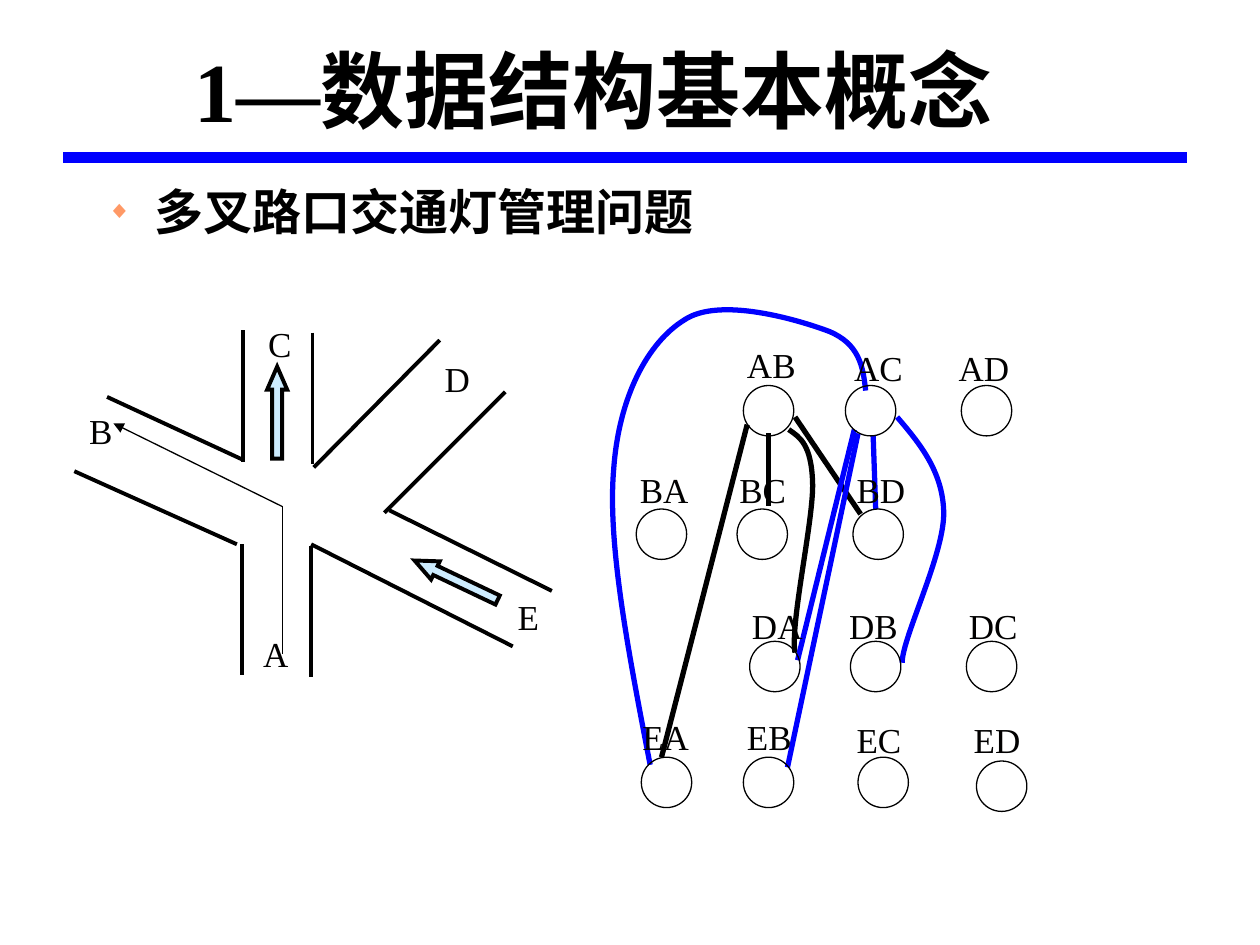
"""Build a slide on traffic lights at a multi-way junction and its conflict graph."""
from pptx import Presentation
from pptx.dml.color import RGBColor
from pptx.enum.shapes import MSO_CONNECTOR, MSO_SHAPE
from pptx.enum.text import MSO_ANCHOR, MSO_AUTO_SIZE, PP_ALIGN
from pptx.oxml.ns import qn
from pptx.util import Inches, Pt
from lxml.etree import SubElement

BLACK = RGBColor(0x00, 0x00, 0x00)
LABEL_BLACK = RGBColor(0x01, 0x00, 0x00)
BLUE = RGBColor(0x00, 0x00, 0xFF)
PALE_BLUE = RGBColor(0xCC, 0xEC, 0xFF)
SERIF = "Times New Roman"
NARROW = "Arial Narrow"

TITLE_RUNS = [("1—", 48, SERIF), ("数据结构基本概念", 48, NARROW), (" ", 54, NARROW)]
TOPIC = "多叉路口交通灯管理问题"

AB_EDGES = [
    (5.93, 3.37, 5.25, 6.01),
    (6.1, 3.44, 6.1, 4.02),
    (6.31, 3.31, 6.83, 4.08),
]
AB_CURVES = [
    [(6.26, 3.41), (6.35, 3.47), (6.44, 3.53), (6.45, 3.83),
     (6.46, 4.12), (6.27, 4.95), (6.31, 5.18)],
]
AC_EDGES = [
    (6.93, 3.46, 6.95, 4.04),
    (6.78, 3.41, 6.33, 5.24),
    (6.81, 3.44, 6.25, 6.09),
]
AC_CURVES = [
    [(6.87, 3.1), (6.85, 2.91), (6.82, 2.73), (6.58, 2.63),
     (6.34, 2.54), (5.71, 2.35), (5.43, 2.54),
     (5.14, 2.72), (4.91, 3.15), (4.87, 3.73),
     (4.82, 4.32), (4.99, 5.19), (5.16, 6.07)],
    [(7.12, 3.31), (7.3, 3.52), (7.48, 3.74), (7.49, 4.06),
     (7.5, 4.39), (7.16, 5.06), (7.16, 5.26)],
]

NODE_SIZE = 0.4
LABEL_HEIGHT = 0.44
NODES = [
    ("AB", (5.83, 2.68, 0.58), (5.9, 3.06)),
    ("AC", (6.68, 2.7, 0.58), (6.71, 3.06)),
    ("AD", (7.51, 2.7, 0.6), (7.63, 3.06)),
    ("BA", (4.98, 3.67, 0.58), (5.05, 4.04)),
    ("BC", (5.77, 3.67, 0.57), (5.85, 4.04)),
    ("BD", (6.7, 3.67, 0.58), (6.77, 4.04)),
    ("DA", (5.87, 4.75, 0.6), (5.95, 5.09)),
    ("DB", (6.64, 4.75, 0.58), (6.75, 5.09)),
    ("DC", (7.59, 4.75, 0.58), (7.67, 5.09)),
    ("EA", (5, 5.63, 0.57), (5.09, 6.01)),
    ("EB", (5.83, 5.63, 0.55), (5.9, 6.01)),
    ("EC", (6.7, 5.65, 0.55), (6.81, 6.01)),
    ("ED", (7.63, 5.65, 0.57), (7.75, 6.04)),
]

ROAD_EDGES = [
    (1.93, 2.62, 1.93, 3.67), (2.48, 2.64, 2.48, 3.68),
    (1.92, 4.32, 1.92, 5.36), (2.47, 4.33, 2.47, 5.37),
    (1.93, 3.65, 0.85, 3.15), (1.88, 4.32, 0.59, 3.74),
    (3.05, 4.07, 4.01, 3.11), (3.09, 4.05, 4.38, 4.69),
    (2.47, 4.32, 4.07, 5.13), (2.49, 3.71, 3.49, 2.7),
]
ONE_WAY_ARROWS = [(2.12, 2.91, 0), (3.54, 4.24, 295.4)]
ROAD_LABELS = [
    ("C", (2.03, 2.51, 0.33)),
    ("E", (4.01, 4.68, 0.37)),
    ("D", (3.43, 2.79, 0.4)),
    ("A", (1.99, 4.97, 0.4)),
    ("B", (0.61, 3.2, 0.38)),
]
ROUTE_A_TO_B = [(2.24, 5.19), (2.24, 4.02), (0.9, 3.36)]


def add_text(paragraph, text, size=20, font=SERIF, color=LABEL_BLACK, bold=False):
    run = paragraph.add_run()
    run.text = text
    run.font.size = Pt(size)
    run.font.name = font
    run.font.bold = bold
    run.font.color.rgb = color


def place(shape, left, top, width, height):
    shape.left, shape.top = Inches(left), Inches(top)
    shape.width, shape.height = Inches(width), Inches(height)


def style_line(shape, color, width):
    shape.line.color.rgb = color
    shape.line.width = Pt(width)


def add_line(shapes, ends, color=BLACK, width=2.25, arrow=False):
    line = shapes.add_connector(MSO_CONNECTOR.STRAIGHT, *map(Inches, ends))
    style_line(line, color, width)
    if arrow:
        SubElement(line.line._get_or_add_ln(), qn("a:tailEnd"), type="triangle")
    SubElement(line._element.spPr, qn("a:effectLst"))


def add_curve(shapes, points, color):
    start_point, *controls = [(Inches(x), Inches(y)) for x, y in points]
    builder = shapes.build_freeform(*start_point)
    builder.add_line_segments(controls, close=False)
    curve = builder.convert_to_shape()
    outline = next(curve._element.iter(qn("a:path")))
    segments = outline.findall(qn("a:lnTo"))
    for start in range(0, len(segments), 3):
        bezier = SubElement(outline, qn("a:cubicBezTo"))
        for segment in segments[start:start + 3]:
            bezier.append(segment[0])
            outline.remove(segment)
    curve.shadow.inherit = False
    curve.fill.background()
    style_line(curve, color, 3)


def add_label(shapes, text, left, top, width):
    box = shapes.add_textbox(*map(Inches, (left, top, width, LABEL_HEIGHT)))
    box.text_frame.word_wrap = False
    box.text_frame.margin_right = 0
    box.text_frame.auto_size = MSO_AUTO_SIZE.SHAPE_TO_FIT_TEXT
    add_text(box.text_frame.paragraphs[0], text)


def add_edges(slide, lines, curves, color):
    shapes = slide.shapes.add_group_shape().shapes
    for ends in lines:
        add_line(shapes, ends, color, 3)
    for points in curves:
        add_curve(shapes, points, color)


def add_nodes(slide):
    shapes = slide.shapes.add_group_shape().shapes
    for text, label_place, corner in NODES:
        add_label(shapes, text, *label_place)
        node = shapes.add_shape(
            MSO_SHAPE.OVAL, *map(Inches, (*corner, NODE_SIZE, NODE_SIZE)))
        node.shadow.inherit = False
        node.fill.background()
        style_line(node, BLACK, 0.75)


def add_junction(slide):
    shapes = slide.shapes.add_group_shape().shapes
    for ends in ROAD_EDGES:
        add_line(shapes, ends)
    for left, top, rotation in ONE_WAY_ARROWS:
        arrow = shapes.add_shape(
            MSO_SHAPE.UP_ARROW, *map(Inches, (left, top, 0.16, 0.73)))
        arrow.adjustments[0], arrow.adjustments[1] = 0.5, 1.15
        arrow.rotation = rotation
        arrow.shadow.inherit = False
        arrow.fill.solid()
        arrow.fill.fore_color.rgb = PALE_BLUE
        style_line(arrow, BLACK, 2.25)
        SubElement(arrow.line._get_or_add_ln(), qn("a:miter"), lim="800000")
    for text, label_place in ROAD_LABELS:
        add_label(shapes, text, *label_place)
    route = slide.shapes.add_group_shape().shapes
    start, turn, finish = ROUTE_A_TO_B
    add_line(route, (*start, *turn), width=0.75)
    add_line(route, (*turn, *finish), width=0.75, arrow=True)


def fill_placeholders(slide):
    title, body = slide.placeholders
    place(title, 1.17, 0.42, 7.25, 0.83)
    place(body, 0.75, 1.39, 8.33, 0.71)
    for shape in (title, body):
        shape.text_frame.auto_size = MSO_AUTO_SIZE.NONE
        shape.text_frame.vertical_anchor = MSO_ANCHOR.TOP
    heading = title.text_frame.paragraphs[0]
    heading.alignment = PP_ALIGN.CENTER
    heading.line_spacing = 0.7
    for text, size, font in TITLE_RUNS:
        add_text(heading, text, size=size, font=font, color=BLACK, bold=True)
    topic = body.text_frame.paragraphs[0]
    topic.space_before = Pt(7)
    add_text(topic, TOPIC, size=28, color=BLACK, bold=True)
    properties = topic._p.get_or_add_pPr()
    properties.set("marL", str(Inches(0.38)))
    properties.set("indent", str(-Inches(0.38)))
    SubElement(SubElement(properties, qn("a:buClr")), qn("a:srgbClr"), val="FF9966")
    SubElement(properties, qn("a:buSzPct"), val="50000")
    SubElement(properties, qn("a:buChar"), char="◆")


def main():
    presentation = Presentation()
    presentation.slide_width, presentation.slide_height = Inches(10), Inches(7.5)
    slide = presentation.slides.add_slide(presentation.slide_layouts[1])
    add_line(slide.shapes, (0.5, 1.25, 9.42, 1.25), BLUE, 6)
    fill_placeholders(slide)
    add_edges(slide, AB_EDGES, AB_CURVES, BLACK)
    add_edges(slide, AC_EDGES, AC_CURVES, BLUE)
    add_nodes(slide)
    add_junction(slide)
    presentation.save("out.pptx")


if __name__ == "__main__":
    main()
